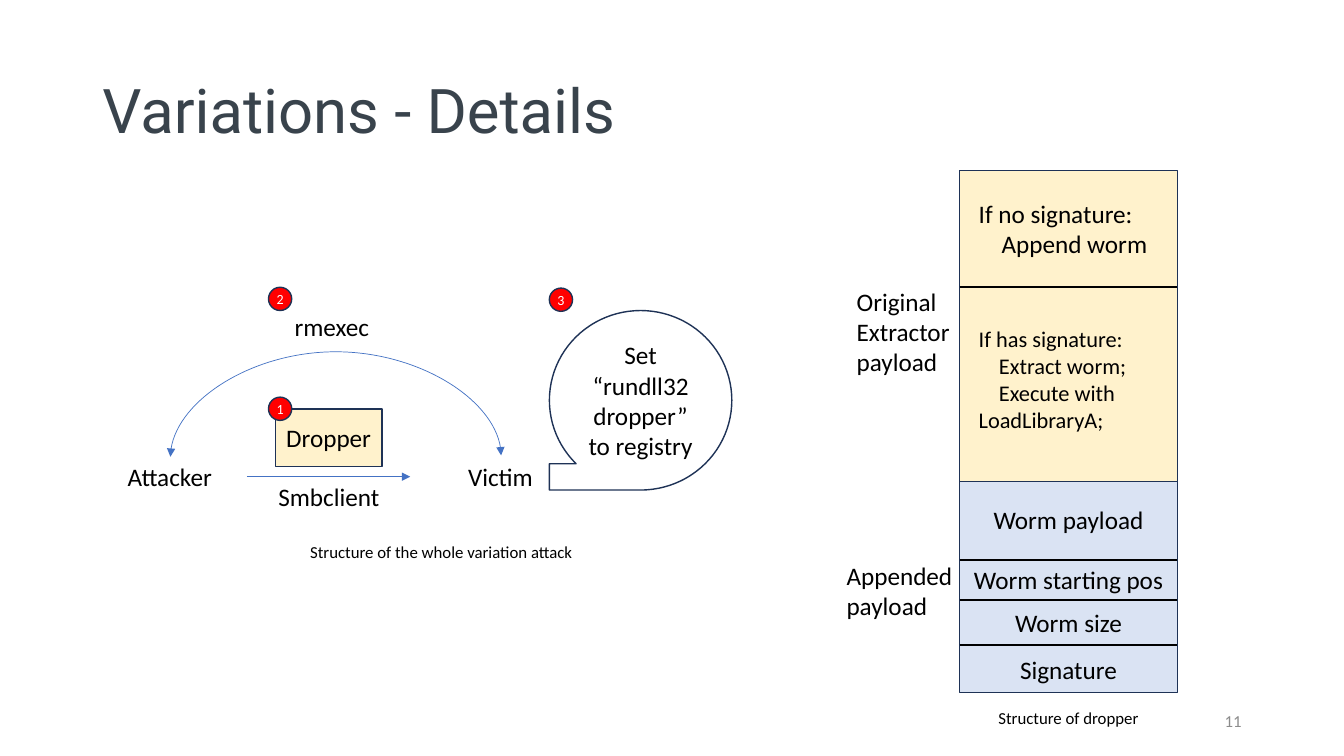
"""Build the "Variations - Details" slide: attack flow on the left, dropper layout on the right."""
from lxml.etree import SubElement
from pptx import Presentation
from pptx.dml.color import RGBColor
from pptx.enum.shapes import MSO_CONNECTOR as CONN, MSO_SHAPE as SHAPE
from pptx.enum.text import MSO_ANCHOR as ANCHOR, MSO_AUTO_SIZE as FIT, PP_ALIGN as ALIGN
from pptx.oxml.ns import qn
from pptx.util import Pt

NAVY, BLUE, BLACK, WHITE = "1E3256", "4472C4", "000000", "FFFFFF"
CREAM, PALE, RED = "FFF2CC", "DAE3F3", "FF0000"
rgb = RGBColor.from_string


def write(s, lines, size=18, align=ALIGN.CENTER, color=BLACK, font="Calibri",
          indent=0, **frame):
    tf = s.text_frame
    for key, value in {"word_wrap": True, **frame}.items():
        setattr(tf, key, value)
    for i, line in enumerate(lines):
        p = tf.paragraphs[0] if i == 0 else tf.add_paragraph()
        p.alignment = align
        if indent and i:
            p._p.get_or_add_pPr().set("indent", str(Pt(indent)))
        r = p.add_run()
        r.text = line
        for key, value in {"name": font, "size": Pt(size)}.items():
            setattr(r.font, key, value)
        r.font.color.rgb = rgb(color)


def connect(kind, x1, y1, x2, y2, color, width, ends=()):
    c = slide.shapes.add_connector(kind, Pt(x1), Pt(y1), Pt(x2), Pt(y2))
    c.line.color.rgb = rgb(color)
    c.line.width = Pt(width)
    for end in ends:
        SubElement(c.line._ln, qn(end)).set("type", "triangle")
    SubElement(c._element.spPr, qn("a:effectLst"))
    return c


prs = Presentation()
prs.slide_width, prs.slide_height = Pt(960), Pt(540)
slide = prs.slides.add_slide(prs.slide_layouts[5])

title = slide.shapes.title
for key, value in {"left": 66, "top": 28.8, "width": 828, "height": 104.4}.items():
    setattr(title, key, Pt(value))
write(title, ["Variations - Details"], 44, ALIGN.LEFT, "39434C", "Roboto",
      vertical_anchor=ANCHOR.MIDDLE, auto_size=FIT.NONE)
title.text_frame.paragraphs[0].line_spacing = 0.9

left, width = 685.5, 155.5
flat = {"margin_left": 0, "margin_right": 0, "margin_top": 0, "margin_bottom": 0}
boxes = [
    (SHAPE.RECTANGLE, left, 122, width, 222, CREAM, [], {}),
    (SHAPE.RECTANGLE, left, 344, width, 150.5, PALE, [], {}),
    (SHAPE.RECTANGLE, 196.6, 292.3, 76.3, 41, CREAM, ["Dropper"], flat),
    (SHAPE.FLOWCHART_SEQUENTIAL_ACCESS_STORAGE, 392.4, 221.8, 130.3, 128.2, None,
     ["Set “rundll32 dropper”", "to registry"], {}),
]
badges = [("1", 191.8, 283.7), ("2", 191.8, 205.2), ("3", 392.4, 205.8)]
boxes += [(SHAPE.OVAL, x, y, 16.6, 16.6, RED, [n], {**flat, "size": 10, "color": WHITE})
          for n, x, y in badges]

for kind, x, y, w, h, fill, lines, fmt in boxes:
    s = slide.shapes.add_shape(kind, Pt(x), Pt(y), Pt(w), Pt(h))
    s.shadow.inherit = False
    s.line.color.rgb = rgb(NAVY)
    s.line.width = Pt(1)
    if fill:
        s.fill.solid()
        s.fill.fore_color.rgb = rgb(fill)
    else:
        s.fill.background()
        s.rotation = 180
        s._element.spPr.find(qn("a:xfrm")).set("flipV", "1")
    write(s, lines, vertical_anchor=ANCHOR.MIDDLE, **fmt)

for y in (205.2, 400.3, 428.4, 460.8):
    connect(CONN.STRAIGHT, left, y, left + width, y, BLACK, 1.5)

connect(CONN.STRAIGHT, 176.4, 340.5, 293, 340.5, BLUE, 0.5, ["a:tailEnd"])
arc = connect(CONN.CURVE, 240.3, 443.9, 239.3, 207.7, BLUE, 0.5, ["a:headEnd", "a:tailEnd"])
arc._element.spPr.find(qn("a:xfrm")).set("rot", "5400000")
bend = SubElement(arc._element.spPr.find(qn("a:prstGeom")).find(qn("a:avLst")), qn("a:gd"))
for key, value in {"name": "adj1", "fmla": "val 7560000"}.items():
    bend.set(key, value)

start = {"align": ALIGN.LEFT}
labels = [
    (604.8, 200.9, 80.7, 72.7, ["Original", "Extractor payload"], start),
    (692, 138.2, 144.7, 51, ["If no signature:", "Append worm"], {**start, "indent": 16.3}),
    (692, 229, 180, 85, ["If has signature:", "Extract worm;", "Execute with LoadLibraryA;"],
     {**start, "size": 16, "indent": 14.5}),
    (597.6, 396.7, 93.6, 51, ["Appended payload"], start),
    (left, 356.4, width, 29, ["Worm payload"], {}),
    (left, 399.6, width, 29, ["Worm starting pos"], {}),
    (left, 430, width, 29, ["Worm size"], {}),
    (left, 463.7, width, 29, ["Signature"], {}),
    (left, 501.8, width, 21.8, ["Structure of dropper"], {"size": 12}),
    (66.2, 325.8, 110.2, 29, ["Attacker"], {}),
    (191.7, 340.5, 90.7, 29, ["Smbclient"], start),
    (302.4, 325.8, 110.2, 29, ["Victim"], {}),
    (191.7, 218.9, 90.7, 29, ["rmexec"], {}),
    (210.2, 383.3, 210.2, 21.8, ["Structure of the whole variation attack"], {"size": 12}),
    (678, 500.5, 216, 28.8, ["11"], {"size": 12, "align": ALIGN.RIGHT, "color": "8C8C8C",
                                     "vertical_anchor": ANCHOR.MIDDLE}),
]
for x, y, w, h, lines, fmt in labels:
    s = slide.shapes.add_textbox(Pt(x), Pt(y), Pt(w), Pt(h))
    write(s, lines, **fmt)

prs.save("out.pptx")
